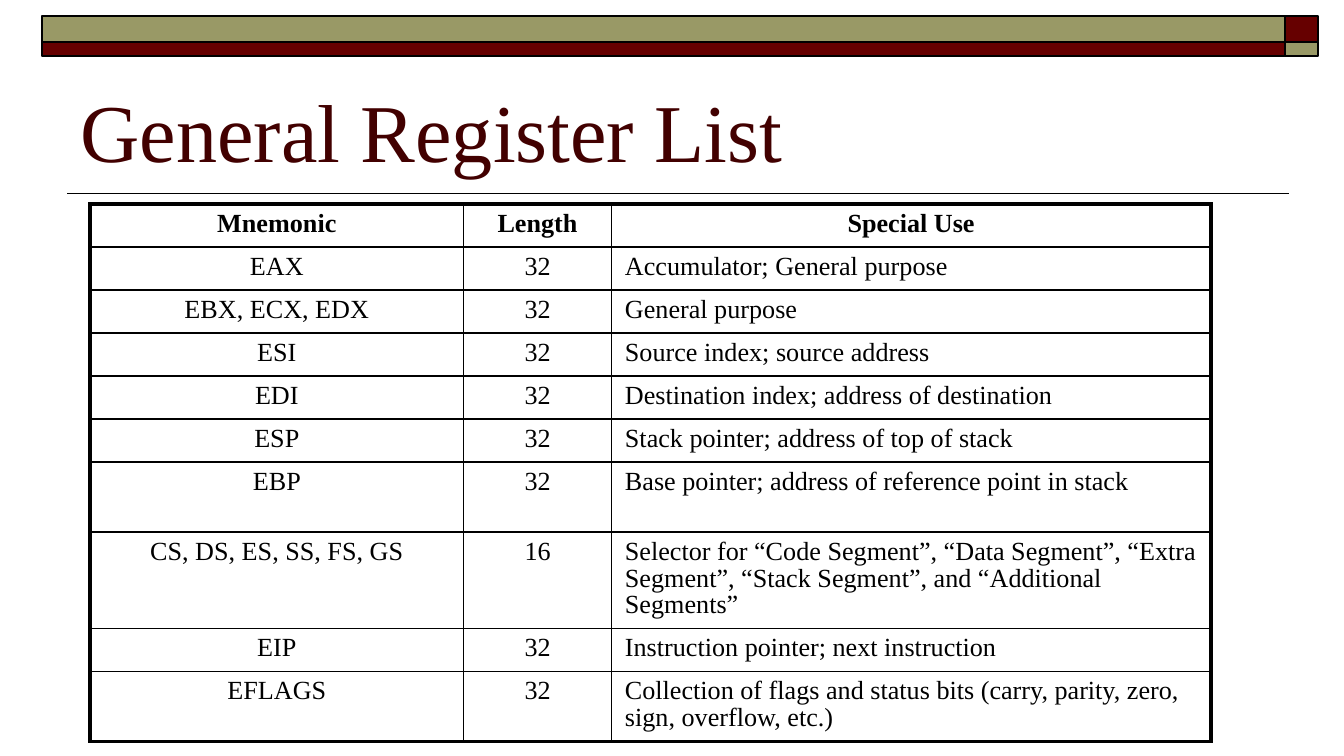
from lxml import etree
from pptx import Presentation
from pptx import util as u
from pptx.dml.color import RGBColor
from pptx.enum import shapes, text
from pptx.oxml.ns import qn

COLORS = {"maroon": "660000", "olive": "999966", "title": "420000", "ink": "000000"}
FONT = "Times New Roman"
THIN, THICK = 1, 2.25


def style_run(run, size, color, bold=False):
    run.font.name = FONT
    run.font.size = u.Pt(size)
    run.font.bold = bold
    run.font.color.rgb = RGBColor.from_string(COLORS[color])


def add_border(cell, side, width):
    properties = cell._tc.get_or_add_tcPr()
    line = etree.SubElement(properties, qn("a:" + side), w=str(u.Pt(width)))
    fill = etree.SubElement(line, qn("a:solidFill"))
    etree.SubElement(fill, qn("a:srgbClr"), val=COLORS["ink"])


presentation = Presentation()
presentation.slide_width = u.Inches(10)
presentation.slide_height = u.Inches(10 * 9 / 16)
slide = presentation.slides.add_slide(presentation.slide_layouts[5])

rule = slide.shapes.add_connector(
    shapes.MSO_CONNECTOR.STRAIGHT, u.Inches(9.59), u.Inches(1.44), u.Inches(0.5), u.Inches(1.44)
)
rule.line.width = u.Pt(THIN)
rule.line.color.rgb = RGBColor.from_string(COLORS["ink"])
etree.SubElement(rule._element.spPr, qn("a:effectLst"))

band_columns = [(0.31, 9.25), (9.56, 0.25)]
band_rows = [(0.12, 0.19), (0.31, 0.11)]
for row, (top, height) in enumerate(band_rows):
    for column, (left, width) in enumerate(band_columns):
        block = slide.shapes.add_shape(
            shapes.MSO_SHAPE.RECTANGLE,
            u.Inches(left), u.Inches(top), u.Inches(width), u.Inches(height),
        )
        color = "olive" if row == column else "maroon"
        block.shadow.inherit = False
        block.fill.solid()
        block.fill.fore_color.rgb = RGBColor.from_string(COLORS[color])
        block.line.width = u.Pt(THIN)
        block.line.color.rgb = RGBColor.from_string(COLORS["ink"])

title = slide.shapes.title
title.left, title.top = u.Inches(0.5), u.Inches(0.44)
title.width, title.height = u.Inches(9), u.Inches(0.94)
title.text_frame.vertical_anchor = text.MSO_ANCHOR.BOTTOM
title.text_frame.auto_size = text.MSO_AUTO_SIZE.NONE
title_paragraph = title.text_frame.paragraphs[0]
title_paragraph.alignment = text.PP_ALIGN.LEFT
title_run = title_paragraph.add_run()
title_run.text = "General Register List"
style_run(title_run, 44, "title")

registers = [
    ("Mnemonic", "Length", "Special Use"),
    ("EAX", "32", "Accumulator; General purpose"),
    ("EBX, ECX, EDX", "32", "General purpose"),
    ("ESI", "32", "Source index; source address"),
    ("EDI", "32", "Destination index; address of destination"),
    ("ESP", "32", "Stack pointer; address of top of stack"),
    ("EBP", "32", "Base pointer; address of reference point in stack"),
    ("CS, DS, ES, SS, FS, GS", "16",
     "Selector for “Code Segment”, “Data Segment”, “Extra Segment”, "
     "“Stack Segment”, and “Additional Segments”"),
    ("EIP", "32", "Instruction pointer; next instruction"),
    ("EFLAGS", "32",
     "Collection of flags and status bits (carry, parity, zero, sign, overflow, etc.)"),
]
column_widths = [2.78, 1.1, 4.46]
row_heights = [0.32] * 6 + [0.52, 0.72, 0.32, 0.52]
last_row, last_column = len(row_heights) - 1, len(column_widths) - 1

table = slide.shapes.add_table(
    len(row_heights), len(column_widths), u.Inches(0.67), u.Inches(1.52),
    u.Inches(sum(column_widths)), u.Inches(sum(row_heights)),
).table
table.first_row = table.horz_banding = False
for column, width in enumerate(column_widths):
    table.columns[column].width = u.Inches(width)

for row, values in enumerate(registers):
    table.rows[row].height = u.Inches(row_heights[row])
    for column, value in enumerate(values):
        cell = table.cell(row, column)
        cell.margin_left = cell.margin_right = u.Inches(0.1)
        cell.margin_top, cell.margin_bottom = u.Inches(0.05), u.Inches(0.04)
        paragraph = cell.text_frame.paragraphs[0]
        centered = row == 0 or column < last_column
        paragraph.alignment = text.PP_ALIGN.CENTER if centered else text.PP_ALIGN.LEFT
        paragraph.line_spacing = 0.93
        run = paragraph.add_run()
        run.text = value
        style_run(run, 14, "ink", bold=row == 0)
        outer_sides = {
            "lnL": column == 0,
            "lnR": column == last_column,
            "lnT": row == 0,
            "lnB": row == last_row,
        }
        for side, outer in outer_sides.items():
            add_border(cell, side, THICK if outer else THIN)
        cell.fill.background()

presentation.save("out.pptx")
